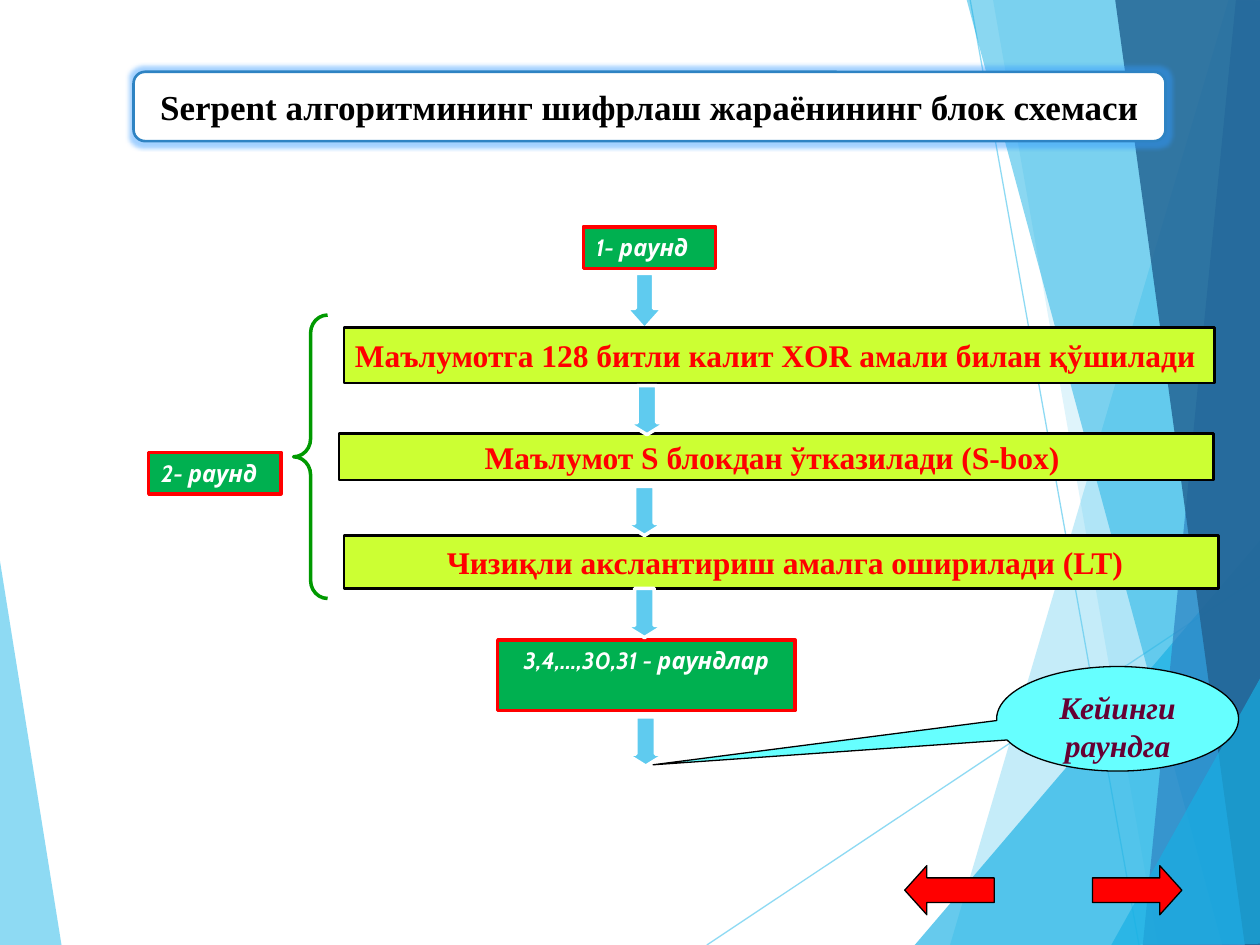
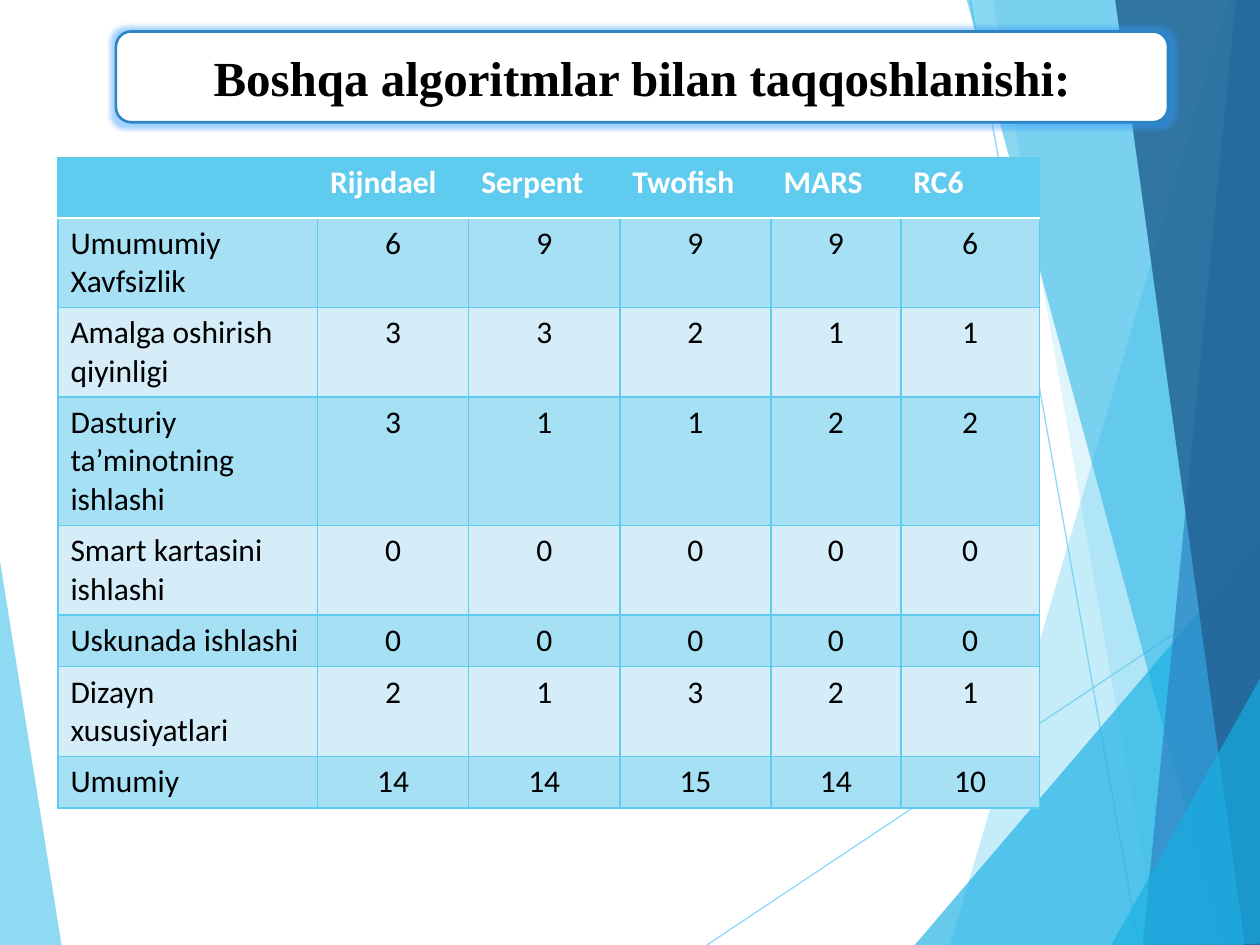
from lxml import etree
from pptx import Presentation
from pptx.dml.color import RGBColor
from pptx.enum.shapes import MSO_CONNECTOR, MSO_SHAPE
from pptx.enum.text import MSO_ANCHOR, PP_ALIGN
from pptx.oxml.ns import qn
from pptx.util import Inches, Pt

RECTANGLE, ROUNDED = MSO_SHAPE.RECTANGLE, MSO_SHAPE.ROUNDED_RECTANGLE
DOWN_ARROW, RIGHT_ARROW = MSO_SHAPE.DOWN_ARROW, MSO_SHAPE.RIGHT_ARROW
BRACE, CALLOUT = MSO_SHAPE.RIGHT_BRACE, MSO_SHAPE.OVAL_CALLOUT
STRAIGHT = MSO_CONNECTOR.STRAIGHT
LEFT, CENTER = PP_ALIGN.LEFT, PP_ALIGN.CENTER
TOP, MIDDLE = MSO_ANCHOR.TOP, MSO_ANCHOR.MIDDLE

SKY, AZURE, BLUE, NAVY = "5FCBEF", "17B0E4", "2E83C3", "226292"
WHITE, BLACK, RED = "FFFFFF", "000000", "FF0000"
GREEN, LIME, GLOW = "00B050", "CCFF33", "3399FF"
BAND_DARK, BAND_LIGHT = "A5E0F5", "D4EDF9"
SERIF = "Times New Roman"

# Backdrop facets: corner points, colour, opacity in percent
LEFT_FACET = ([(-0.01, 4.39), (0.49, 7.51), (-0.01, 7.5)], SKY, 70)
RIGHT_FACETS = [
    ([(9.75, 0), (7.54, 7.5), (10.02, 7.51), (10.01, 0.01)], SKY, 36),
    ([(7.88, -0.01), (9.19, 7.5), (10.01, 7.5), (10.01, -0.01)], SKY, 20),
    ([(7.26, 7.5), (10, 4.29), (10.01, 7.5)], AZURE, 66),
    ([(7.67, -0.01), (9.7, 7.5), (10.01, 7.49), (10.01, -0.01)], AZURE, 50),
    ([(9.81, -0.01), (9.07, 7.5), (10.01, 7.5), (10, -0.01)], BLUE, 70),
    ([(8.85, -0.01), (9.88, 7.5), (10.02, 7.5), (10, -0.01)], NAVY, 82),
    ([(8.82, 7.5), (10.02, 5.35), (10.02, 7.49)], AZURE, 66),
]
BACKDROP_LINES = [(5.61, 7.5, 10.01, 4.57), (7.7, 0, 9.04, 7.5)]

TABLE_ROWS = [
    ("", "Rijndael", "Serpent", "Twofish", "MARS", "RC6"),
    ("Umumumiy\nXavfsizlik", 6, 9, 9, 9, 6),
    ("Amalga oshirish qiyinligi", 3, 3, 2, 1, 1),
    ("Dasturiy ta’minotning ishlashi", 3, 1, 1, 2, 2),
    ("Smart kartasini ishlashi", 0, 0, 0, 0, 0),
    ("Uskunada ishlashi", 0, 0, 0, 0, 0),
    ("Dizayn xususiyatlari", 2, 1, 3, 2, 1),
    ("Umumiy", 14, 14, 15, 14, 10),
]
COLUMN_WIDTHS = [2.06, 1.2, 1.2, 1.2, 1.03, 1.1]
ROW_HEIGHTS = [0.48, 0.71, 0.71, 1.02, 0.71, 0.41, 0.71, 0.41]


def color(value):
    return RGBColor.from_string(value)


def set_opacity(element, percent):
    for node in element.iter(qn("a:srgbClr")):
        etree.SubElement(node, qn("a:alpha"), val=str(percent * 1000))


def add_figure(slide, kind, box, fill, line, width, adjustments=(), rotation=0):
    shape = slide.shapes.add_shape(kind, *map(Inches, box))
    shape.shadow.inherit = False
    shape.rotation = rotation
    for index, value in enumerate(adjustments):
        shape.adjustments[index] = value
    if fill:
        shape.fill.solid()
        shape.fill.fore_color.rgb = color(fill)
    else:
        shape.fill.background()
    shape.line.color.rgb = color(line)
    shape.line.width = Pt(width)
    return shape


def format_text(text_frame, size, font_name, font_color, align=CENTER,
                bold=True, italic=False):
    for paragraph in text_frame.paragraphs:
        paragraph.alignment = align
        for run in paragraph.runs:
            font = run.font
            font.size, font.name = Pt(size), font_name
            font.bold, font.italic = bold, italic
            font.color.rgb = color(font_color)


def write(shape, text, size, font_name, font_color, anchor=MIDDLE, wrap=True, **style):
    frame = shape.text_frame
    frame.text = text
    frame.word_wrap = wrap
    frame.vertical_anchor = anchor
    format_text(frame, size, font_name, font_color, **style)


def add_facet(slide, points, fill, opacity):
    corners = [(Inches(x), Inches(y)) for x, y in points]
    builder = slide.shapes.build_freeform(*corners[0], scale=1.0)
    builder.add_line_segments(corners[1:], close=True)
    shape = builder.convert_to_shape()
    shape.shadow.inherit = False
    shape.fill.solid()
    shape.fill.fore_color.rgb = color(fill)
    set_opacity(shape.fill._xPr, opacity)
    shape.line.fill.background()


def add_backdrop(slide):
    add_facet(slide, *LEFT_FACET)
    for ends in BACKDROP_LINES:
        connector = slide.shapes.add_connector(STRAIGHT, *map(Inches, ends))
        connector.line.color.rgb = color(SKY)
        connector.line.width = Pt(0.75)
        properties = connector._element.spPr
        set_opacity(properties, 70)
        etree.SubElement(properties, qn("a:effectLst"))
    for facet in RIGHT_FACETS:
        add_facet(slide, *facet)


def add_title(slide, text, box, size):
    shape = add_figure(slide, ROUNDED, box, WHITE, BLUE, 1.5)
    effects = shape._element.spPr.find(qn("a:effectLst"))
    glow = etree.SubElement(effects, qn("a:glow"), rad=str(Pt(5)))
    etree.SubElement(glow, qn("a:srgbClr"), val=GLOW)
    set_opacity(glow, 45)
    write(shape, text, size, SERIF, BLACK)


def add_round_label(slide, text, box, align=LEFT):
    shape = add_figure(slide, RECTANGLE, box, GREEN, RED, 2)
    write(shape, text, 13.5, "Cabin", WHITE, anchor=TOP, align=align, italic=True)


def add_flow_arrow(slide, left, top, width=0.31, height=0.39, head=0.31):
    add_figure(slide, DOWN_ARROW, (left, top, width, height), SKY, WHITE, 2, (0.5, head))


def add_round_diagram(slide, left, top):
    # Brace and callout
    add_figure(slide, BRACE, (left + 1.15, top + 0.7, 0.27, 2.25), None, "009900", 2,
               (0.53, 0.5), 180)
    callout = add_figure(slide, CALLOUT, (left + 6.73, top + 3.49, 1.92, 0.83),
                         "66FFFF", BLACK, 0.75, (-1.92, 0.44))
    write(callout, "Кейинги раундга", 18, SERIF, "660033", anchor=TOP, italic=True)

    # Round labels
    add_round_label(slide, "1- раунд", (left + 3.45, top, 1.05, 0.33))
    add_round_label(slide, "2- раунд", (left, top + 1.79, 1.05, 0.33))
    add_round_label(slide, "3,4,…,30,31 - раундлар",
                    (left + 2.77, top + 3.28, 2.36, 0.56), CENTER)

    # Steps of one round, with the arrows between them
    add_flow_arrow(slide, left + 3.79, top + 0.37, 0.29, 0.44, 0.56)
    steps = [
        ("Маълумотга 128 битли калит XOR амали билан қўшилади ", 1.55, 0.8, 6.91, 0.44),
        ("Маълумот S блокдан ўтказилади (S-box) ", 1.51, 1.64, 6.94, 0.37),
        (" Чизиқли акслантириш амалга оширилади (LT)", 1.55, 2.45, 6.94, 0.42),
    ]
    for text, x, y, width, height in steps:
        step = add_figure(slide, RECTANGLE, (left + x, top + y, width, height),
                          LIME, BLACK, 1.5)
        write(step, text, 18, SERIF, RED, wrap=False)
    for x, y in [(3.8, 1.26), (3.78, 2.06), (3.79, 3.89), (3.78, 2.87)]:
        add_flow_arrow(slide, left + x, top + y)


def add_navigation(slide, left, top):
    for offset, rotation in [(0, 180), (1.49, 0)]:
        add_figure(slide, RIGHT_ARROW, (left + offset, top, 0.71, 0.39), RED, BLACK,
                   0.75, (0.5, 0.45), rotation)


def set_borders(cell, **special):
    """Draw four sky borders of 1 pt; sides named in special are white, 1.5 pt."""
    properties = cell._tc.get_or_add_tcPr()
    for side in "LRTB":
        value, width = (WHITE, 1.5) if special.get(side) else (SKY, 1)
        line = etree.SubElement(properties, qn(f"a:ln{side}"), w=str(Pt(width)))
        fill = etree.SubElement(line, qn("a:solidFill"))
        etree.SubElement(fill, qn("a:srgbClr"), val=value)


def add_comparison_table(slide, left, top):
    frame = slide.shapes.add_table(
        len(TABLE_ROWS), len(COLUMN_WIDTHS), Inches(left), Inches(top),
        Inches(sum(COLUMN_WIDTHS)), Inches(sum(ROW_HEIGHTS)))
    table = frame.table
    for column, width in zip(table.columns, COLUMN_WIDTHS):
        column.width = Inches(width)
    for row, height in zip(table.rows, ROW_HEIGHTS):
        row.height = Inches(height)
    for row_index, values in enumerate(TABLE_ROWS):
        header = row_index == 0
        band = SKY if header else (BAND_LIGHT, BAND_DARK)[row_index % 2]
        for column_index, value in enumerate(values):
            cell = table.cell(row_index, column_index)
            set_borders(cell, B=header, T=row_index == 1)
            cell.fill.solid()
            cell.fill.fore_color.rgb = color(band)
            cell.text_frame.text = str(value)
            format_text(cell.text_frame, 18, "Calibri", WHITE if header else BLACK,
                        align=LEFT if header or column_index == 0 else CENTER,
                        bold=header)


def add_slide(presentation):
    slide = presentation.slides.add_slide(presentation.slide_layouts[6])
    add_backdrop(slide)
    return slide


def build_scheme_slide(presentation):
    slide = add_slide(presentation)
    add_round_diagram(slide, 1.18, 1.8)
    add_navigation(slide, 7.18, 6.87)
    add_title(slide, "Serpent алгоритмининг шифрлаш жараёнининг блок схемаси",
              (1.06, 0.57, 8.19, 0.55), 20)


def build_comparison_slide(presentation):
    slide = add_slide(presentation)
    add_comparison_table(slide, 0.46, 1.25)
    add_title(slide, "Boshqa algoritmlar bilan taqqoshlanishi:",
              (0.92, 0.25, 8.35, 0.72), 28)


def main():
    presentation = Presentation()
    presentation.slide_width = Inches(10)
    presentation.slide_height = Inches(7.5)
    build_scheme_slide(presentation)
    build_comparison_slide(presentation)
    presentation.save("out.pptx")


if __name__ == "__main__":
    main()
